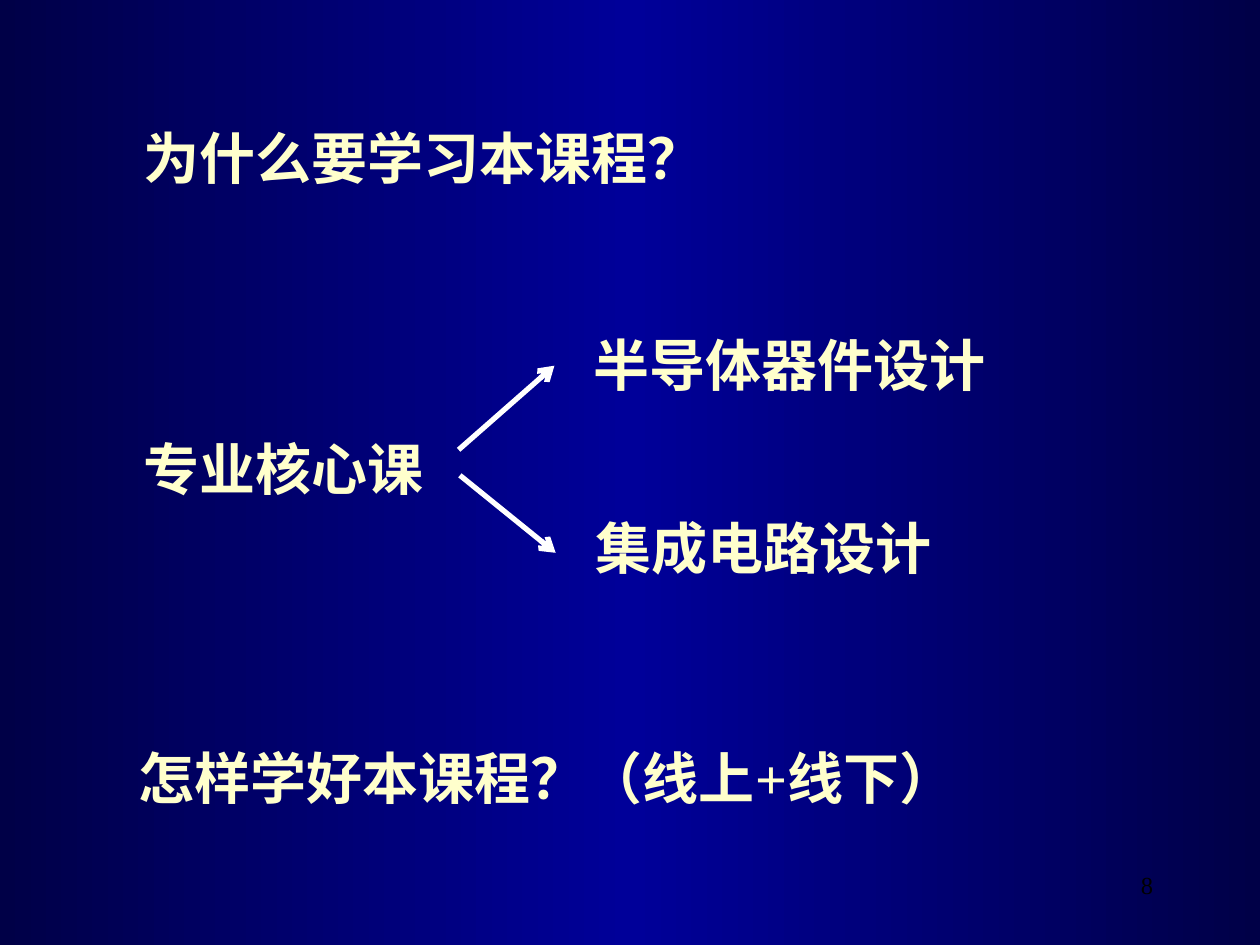
from copy import deepcopy
from dataclasses import dataclass

from pptx import Presentation
from pptx.dml.color import RGBColor
from pptx.enum.shapes import MSO_CONNECTOR
from pptx.enum.text import MSO_AUTO_SIZE, PP_ALIGN
from pptx.oxml.ns import qn
from pptx.oxml.xmlchemy import OxmlElement
from pptx.util import Inches, Pt


@dataclass(frozen=True)
class Theme:
    edge: str = "000047"
    middle: str = "000099"
    text: str = "FFFFCC"
    arrow: str = "FFFFFF"
    page_number: str = "000000"
    font: str = "Times New Roman"
    text_size: int = 32
    page_number_size: int = 14
    arrow_width: int = 3


THEME = Theme()
WIDTH, HEIGHT = 10, 7.5
LEFT_COLUMN, RIGHT_COLUMN = 0.104, 0.461
LINE_HEIGHT = 0.084


def across(share):
    return Inches(WIDTH * share)


def down(share):
    return Inches(HEIGHT * share)


def paint_background(slide):
    """Fill the background with a gradient that is brightest in the middle."""
    fill = slide.background.fill
    fill.gradient()
    fill.gradient_angle = 0
    stop_list = slide.element.find(".//" + qn("a:gsLst"))
    stop_list.insert(1, deepcopy(stop_list[0]))
    colors = (THEME.edge, THEME.middle, THEME.edge)
    for stop, position, color in zip(fill.gradient_stops, (0, 0.5, 1), colors):
        stop.position = position
        stop.color.rgb = RGBColor.from_string(color)


def add_text(slide, text, left, top, width, *, size=THEME.text_size,
             color=THEME.text, bold=True, align=PP_ALIGN.LEFT):
    box = slide.shapes.add_textbox(
        across(left), down(top), across(width), down(LINE_HEIGHT))
    frame = box.text_frame
    frame.word_wrap = True
    frame.auto_size = MSO_AUTO_SIZE.SHAPE_TO_FIT_TEXT
    paragraph = frame.paragraphs[0]
    paragraph.alignment = align
    run = paragraph.add_run()
    run.text = text
    run.font.name = THEME.font
    run.font.size = Pt(size)
    run.font.bold = bold
    run.font.color.rgb = RGBColor.from_string(color)


def add_arrow(slide, start, end):
    connector = slide.shapes.add_connector(
        MSO_CONNECTOR.STRAIGHT, across(start[0]), down(start[1]),
        across(end[0]), down(end[1]))
    connector.line.width = Pt(THEME.arrow_width)
    connector.line.color.rgb = RGBColor.from_string(THEME.arrow)
    head = OxmlElement("a:tailEnd")
    head.set("type", "arrow")
    connector.line._get_or_add_ln().append(head)
    connector.element.spPr.append(OxmlElement("a:effectLst"))


def main():
    presentation = Presentation()
    presentation.slide_width = Inches(WIDTH)
    presentation.slide_height = Inches(HEIGHT)
    slide = presentation.slides.add_slide(presentation.slide_layouts[6])
    paint_background(slide)

    add_text(slide, "为什么要学习本课程？", LEFT_COLUMN, 0.124, 0.6)
    add_text(slide, "专业核心课", LEFT_COLUMN, 0.453, 0.26)
    add_arrow(slide, (0.364, 0.476), (0.44, 0.387))
    add_arrow(slide, (0.365, 0.503), (0.441, 0.585))
    add_text(slide, "半导体器件设计", RIGHT_COLUMN, 0.343, 0.362)
    add_text(slide, "集成电路设计", RIGHT_COLUMN + 0.002, 0.537, 0.305)
    add_text(slide, "怎样学好本课程？（线上+线下）", 0.1, 0.78, 0.677)
    add_text(slide, "8", 0.725, 0.914, 0.2, size=THEME.page_number_size,
             color=THEME.page_number, bold=False, align=PP_ALIGN.RIGHT)

    presentation.save("out.pptx")


if __name__ == "__main__":
    main()
